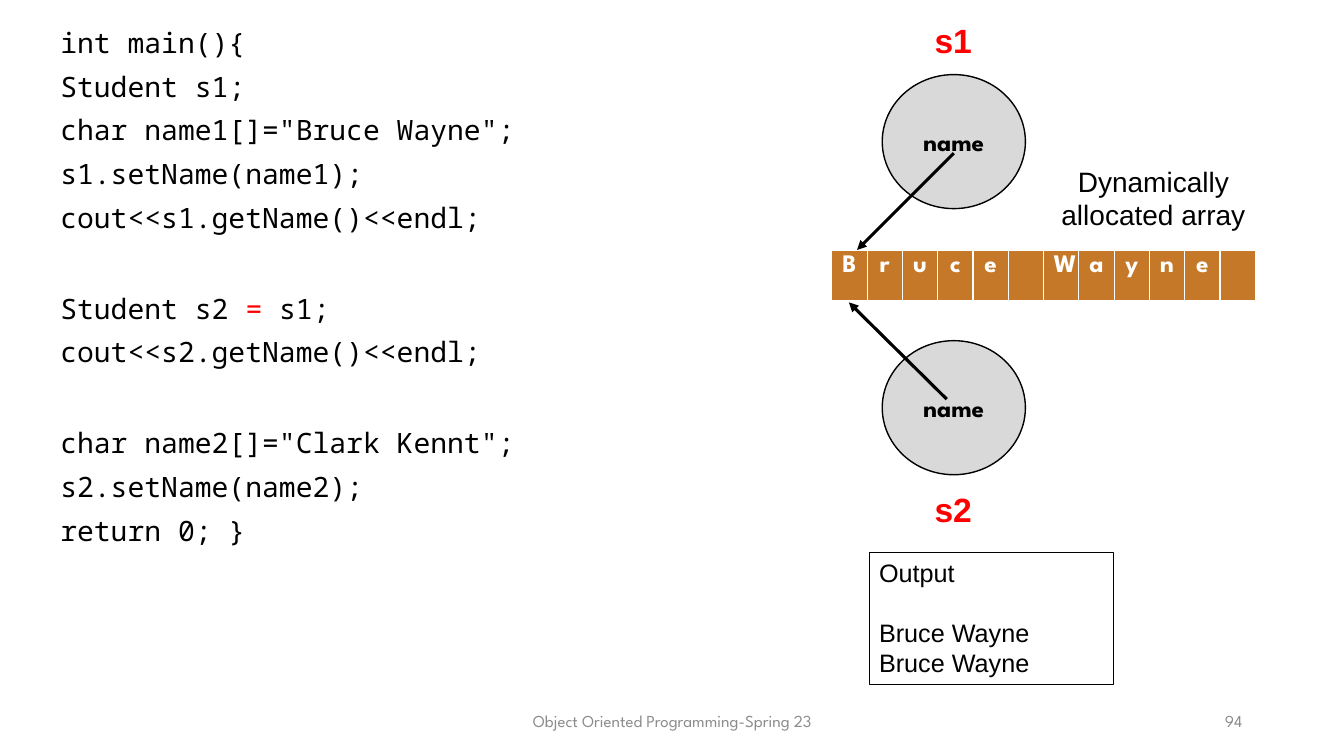
from lxml import etree
from pptx import Presentation
from pptx.dml.color import RGBColor
from pptx.enum.shapes import MSO_CONNECTOR, MSO_SHAPE
from pptx.enum.text import MSO_ANCHOR, PP_ALIGN
from pptx.oxml.ns import qn
from pptx.util import Pt

PX = 9144  # EMU per px, 100 px to the inch
LEFT, CENTER, RIGHT, JUSTIFY = PP_ALIGN.LEFT, PP_ALIGN.CENTER, PP_ALIGN.RIGHT, PP_ALIGN.JUSTIFY
TOP, MIDDLE = MSO_ANCHOR.TOP, MSO_ANCHOR.MIDDLE
OVAL, RECTANGLE = MSO_SHAPE.OVAL, MSO_SHAPE.RECTANGLE
STRAIGHT = MSO_CONNECTOR.STRAIGHT

COLORS = {"black": "000000", "white": "FFFFFF", "red": "FF0000",
          "footer": "8C8C8C", "object": "D9D9D9", "cell": "C57827"}
SANS, DISPLAY, MONO = "Arial", "League Spartan", "Noto Sans Mono"

# Each block of code is set apart by a wider gap
CODE_BLOCKS = [
    ["int main(){", "Student s1;", 'char name1[]="Bruce Wayne";',
     "s1.setName(name1);", "cout<<s1.getName()<<endl;"],
    [[("Student s2 ", "black"), ("= ", "red"), ("s1;", "black")],
     "cout<<s2.getName()<<endl;"],
    ['char name2[]="Clark Kennt";', "s2.setName(name2);", "return 0; }"],
]


def rgb(color):
    return RGBColor.from_string(COLORS[color])


class SlideBuilder:
    def __init__(self, slide):
        self.slide = slide

    def style(self, paragraph, font, size, color, bold=False, align=LEFT):
        paragraph.alignment = align
        paragraph.font.name = font
        paragraph.font.size = Pt(size)
        paragraph.font.bold = bold
        if color:
            paragraph.font.color.rgb = rgb(color)

    def fill_text(self, frame, lines, font, size, color="black", bold=False,
                  align=LEFT, anchor=TOP, wrap=True):
        frame.word_wrap = wrap
        frame.vertical_anchor = anchor
        for index, line in enumerate(lines):
            paragraph = frame.paragraphs[0] if index == 0 else frame.add_paragraph()
            if isinstance(line, str):
                paragraph.text = line
                self.style(paragraph, font, size, color, bold, align)
                continue
            self.style(paragraph, font, size, None, bold, align)
            for text, run_color in line:
                run = paragraph.add_run()
                run.text = text
                run.font.color.rgb = rgb(run_color)
        return frame.paragraphs

    def text(self, box, lines, font, size, **options):
        shape = self.slide.shapes.add_textbox(*(n * PX for n in box))
        return self.fill_text(shape.text_frame, lines, font, size, **options)

    def shape(self, kind, box, fill, line_width, lines, font, **options):
        shape = self.slide.shapes.add_shape(kind, *(n * PX for n in box))
        shape.shadow.inherit = False
        if fill:
            shape.fill.solid()
            shape.fill.fore_color.rgb = rgb(fill)
        else:
            shape.fill.background()
        shape.line.color.rgb = rgb("black")
        shape.line.width = Pt(line_width)
        return self.fill_text(shape.text_frame, lines, font, 18, **options)

    def arrow(self, start, end):
        connector = self.slide.shapes.add_connector(
            STRAIGHT, *(n * PX for n in start + end))
        connector.line.color.rgb = rgb("black")
        connector.line.width = Pt(2.25)
        properties = connector._element.spPr
        line = properties.find(qn("a:ln"))
        etree.SubElement(line, qn("a:tailEnd"), type="triangle")
        etree.SubElement(properties, qn("a:effectLst"))

    def border(self, cell, side, width):
        properties = cell._tc.get_or_add_tcPr()
        line = etree.SubElement(properties, qn(f"a:{side}"), w=str(Pt(width)))
        fill = etree.SubElement(line, qn("a:solidFill"))
        etree.SubElement(fill, qn("a:srgbClr"), val=COLORS["white"])

    def letter_row(self, left, top, cell_width, height, letters):
        table = self.slide.shapes.add_table(
            1, len(letters), left * PX, top * PX,
            len(letters) * cell_width * PX, height * PX).table
        for column, letter in enumerate(letters):
            table.columns[column].width = cell_width * PX
            cell = table.cell(0, column)
            for side, width in (("lnL", 1), ("lnR", 1), ("lnT", 1), ("lnB", 3)):
                self.border(cell, side, width)
            cell.fill.solid()
            cell.fill.fore_color.rgb = rgb("cell")
            paragraph = cell.text_frame.paragraphs[0]
            paragraph.text = letter.strip()
            self.style(paragraph, DISPLAY, 18, "white", True, CENTER)


def main():
    presentation = Presentation()
    presentation.slide_width = 1333 * PX
    presentation.slide_height = 750 * PX
    builder = SlideBuilder(presentation.slides.add_slide(presentation.slide_layouts[6]))

    # Footer and page number
    footer = {"color": "footer", "anchor": MIDDLE}
    builder.text((442, 695, 450, 40), ["Object Oriented Programming-Spring 23"],
                 DISPLAY, 12, align=CENTER, **footer)
    builder.text((942, 695, 300, 40), ["94"], DISPLAY, 12, align=RIGHT, **footer)

    # Code listing
    code_lines = [line for block in CODE_BLOCKS for line in block]
    gaps = [44 if row == 0 else 10 for block in CODE_BLOCKS for row in range(len(block))]
    gaps[0] = 0
    paragraphs = builder.text((50, 25, 900, 645), code_lines, MONO, 20, align=JUSTIFY)
    for paragraph, gap in zip(paragraphs, gaps):
        paragraph.space_before = Pt(gap)
        paragraph.line_spacing = 0.88

    # Shared array
    builder.letter_row(825, 248, 35, 51, "Bruce Wayne ")
    builder.text((1042, 158, 204, 77), ["Dynamically", "allocated array"],
                 SANS, 20, align=CENTER, wrap=False)

    # Both objects, each pointing at the array
    for label, label_top, object_top, start, end in (
            ("s1", 15, 74, (946, 152), (850, 248)),
            ("s2", 480, 338, (939, 396), (842, 300))):
        builder.shape(OVAL, (875, object_top, 142, 133), "object", 1, ["name"],
                      DISPLAY, bold=True, align=CENTER, anchor=MIDDLE)
        builder.text((917, label_top, 58, 50), [label], SANS, 24,
                     color="red", bold=True, wrap=False)
        builder.arrow(start, end)

    # Program output
    output = builder.shape(RECTANGLE, (862, 548, 242, 131), None, 0.75,
                           ["Output", "Bruce Wayne", "Bruce Wayne"], SANS)
    output[1].space_before = Pt(21)

    presentation.save("out.pptx")


if __name__ == "__main__":
    main()
